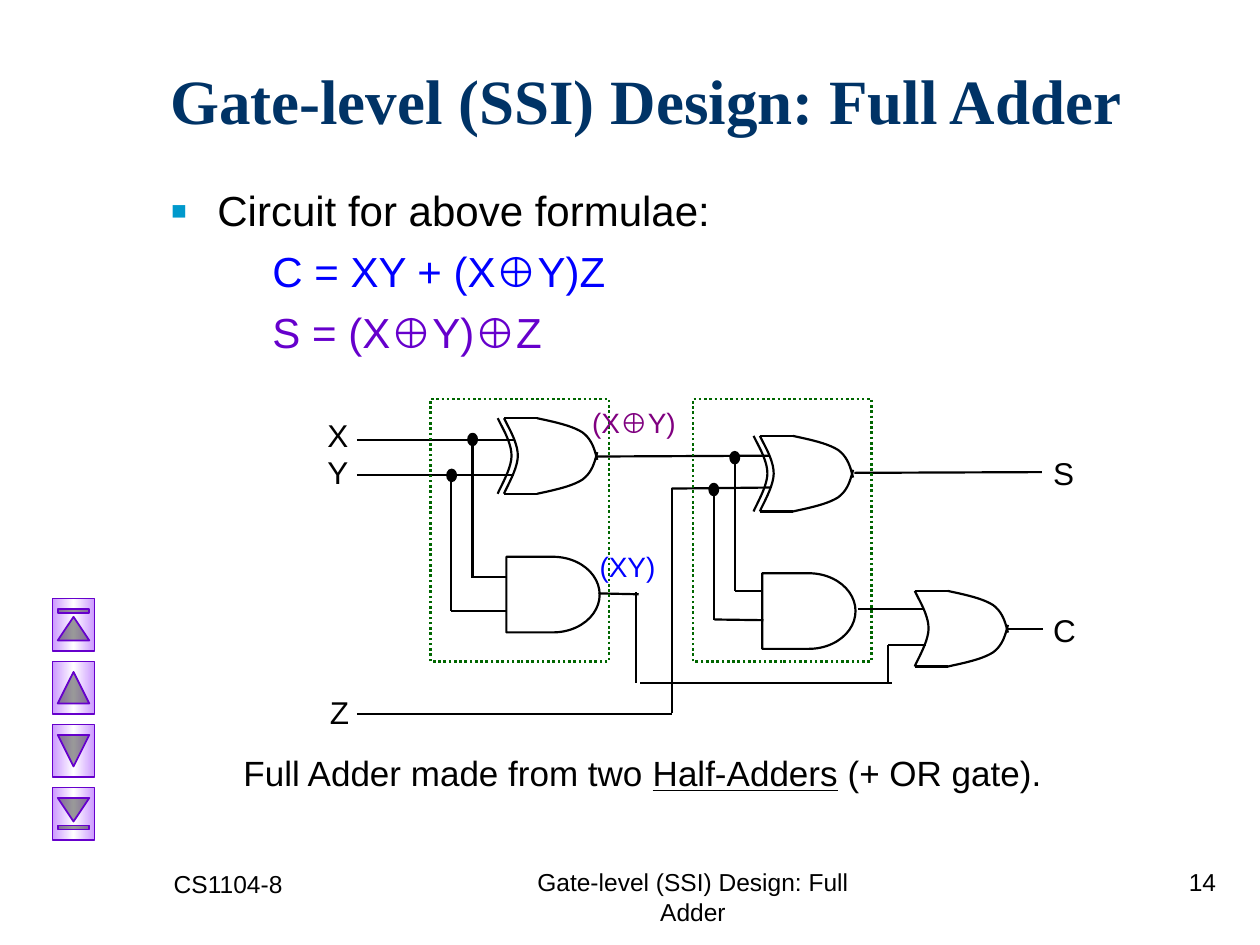
"""Build the full adder circuit slide."""
from copy import deepcopy
from lxml.etree import SubElement
from pptx import Presentation
from pptx.dml.color import RGBColor
from pptx.enum.dml import MSO_LINE
from pptx.enum.shapes import MSO_CONNECTOR, MSO_SHAPE as SHAPE
from pptx.enum.text import MSO_ANCHOR, MSO_AUTO_SIZE, PP_ALIGN as ALIGN
from pptx.oxml.ns import qn
from pptx.util import Pt

rgb = RGBColor.from_string


def style(sp, color, width, fill=None):
    if hasattr(sp, "fill"):
        if fill:
            sp.fill.solid()
            sp.fill.fore_color.rgb = rgb(fill)
        else:
            sp.fill.background()
    sp.line.color.rgb = rgb(color)
    sp.line.width = Pt(width)
    SubElement(sp._element.spPr, qn("a:effectLst"))


def add_run(p, text, size, color="000000", font="Arial"):
    r = p.add_run()
    r.text = text
    r.font.size = Pt(size)
    r.font.name = font
    r.font.color.rgb = rgb(color)
    return r


prs = Presentation()
prs.slide_width, prs.slide_height = Pt(720), Pt(540)
s = prs.slides.add_slide(prs.slide_layouts[1])
shapes = s.shapes

title, body = s.placeholders
title.left, title.top, title.width, title.height = Pt(90), Pt(12), Pt(612), Pt(90)
body.left, body.top, body.width, body.height = Pt(90), Pt(102), Pt(600), Pt(108)
for sp, anchor in [(title, MSO_ANCHOR.MIDDLE), (body, MSO_ANCHOR.TOP)]:
    tf = sp.text_frame
    tf.vertical_anchor = anchor
    tf.auto_size = MSO_AUTO_SIZE.NONE
    tf.word_wrap = True
p = title.text_frame.paragraphs[0]
p.alignment = ALIGN.LEFT
add_run(p, "Gate-level (SSI) Design: Full Adder", 36, "003366", "Times New Roman").font.bold = True

tf = body.text_frame
for i, (text, color) in enumerate([
    ("Circuit for above formulae:", "000000"),
    ("C = XY + (X⊕Y)Z", "0000FF"),
    ("S = (X⊕Y)⊕Z", "6600CC"),
]):
    p = tf.add_paragraph() if i else tf.paragraphs[0]
    p.level = min(i, 1)
    p.space_before = Pt(6)
    add_run(p, text, 24, color)
    pPr = p._p.get_or_add_pPr()
    pPr.set("marL", str(Pt(58.5 if i else 27)))
    pPr.set("indent", str(Pt(0 if i else -27)))
    if i:
        SubElement(pPr, qn("a:buNone"))
    else:
        SubElement(SubElement(pPr, qn("a:buClr")), qn("a:srgbClr"), val="0099CC")
        SubElement(pPr, qn("a:buSzPct"), val="120000")
        SubElement(pPr, qn("a:buFont"), typeface="Arial")
        SubElement(pPr, qn("a:buChar"), char="▪")

for i, kind in enumerate([
    SHAPE.ACTION_BUTTON_BEGINNING, SHAPE.ACTION_BUTTON_BACK_OR_PREVIOUS,
    SHAPE.ACTION_BUTTON_FORWARD_OR_NEXT, SHAPE.ACTION_BUTTON_END,
]):
    sp = shapes.add_shape(kind, Pt(27), Pt(345 + 36 * i), Pt(30), Pt(24))
    sp.rotation = 90
    style(sp, "6600CC", 1)
    sp.fill.gradient()
    sp.fill.gradient_angle = 270
    stops = sp._element.spPr.find(".//" + qn("a:gsLst"))
    stops.insert(1, deepcopy(stops[0]))
    for stop, pos, color in zip(sp.fill.gradient_stops, (0, 0.5, 1), ("CC99FF", "FFFFFF", "CC99FF")):
        stop.position = pos
        stop.color.rgb = rgb(color)

wires = [
    (204, 251.3, 294, 251.3), (204, 271.4, 294, 271.4), (340.6, 260.9, 440, 260.4),
    (270, 329.8, 289.4, 329.8), (270, 252, 270, 330.2), (257.8, 271.4, 257.8, 349.2),
    (257.8, 349.2, 289.4, 349.2), (342, 339.1, 365, 339.6), (383.8, 279.2, 440, 278.6),
    (488.2, 270.2, 595.4, 269.8), (419.8, 337.7, 434.9, 337.7), (419.8, 259.2, 419.8, 337.7),
    (383.8, 278.6, 383.8, 407.5), (365.8, 390.2, 509.8, 390.2), (490.3, 347.8, 527.8, 347.8),
    (204, 408, 383.8, 408), (408.2, 354, 436.3, 354.4), (363.6, 390.2, 363.6, 338.4),
    (507.6, 368.6, 529.2, 368.6), (507.6, 390.2, 507.6, 368.6), (574.6, 359.3, 596.2, 359.3),
    (408.2, 275.8, 408.2, 354.2),
]
back = [(0, 0), (3.6, 7.2), (7.9, 14.4), (7.9, 21.6), (7.9, 28.8), (1.4, 39.6), (0, 43.2)]
front = [(18.9, 0), (29, 2.2), (39, 4.3), (44.8, 8.1), (50.4, 12.2), (51.8, 18), (53.3, 23.8)]
gate_h = 43.2
mirrored = [(x, gate_h - y) for x, y in front]
curves = []
for left, top, is_xor in [(288, 239, True), (434.2, 249.1, True), (522.7, 337.7, False)]:
    wires += [(left, y, left + 18.9, y) for y in (top, top + gate_h)]
    outlines = [(back, 0), (front, 0), (mirrored, 0)] + [(back, -3.6)] * is_xor
    curves += [[(left + dx + x, top + y) for x, y in pts] for pts, dx in outlines]

for x1, y1, x2, y2 in wires:
    sp = shapes.add_connector(MSO_CONNECTOR.STRAIGHT, Pt(x1), Pt(y1), Pt(x2), Pt(y2))
    style(sp, "000000", 1.25)

steps = 10
for curve in curves:
    pts = [curve[0]]
    for k in (0, 3):
        for n in range(1, steps + 1):
            t = n / steps
            weights = ((1 - t) ** 3, 3 * t * (1 - t) ** 2, 3 * t * t * (1 - t), t ** 3)
            pts.append([sum(w * c[axis] for w, c in zip(weights, curve[k:k + 4])) for axis in (0, 1)])
    pts = [(Pt(x), Pt(y)) for x, y in pts]
    fb = shapes.build_freeform(*pts[0])
    fb.add_line_segments(pts[1:], close=False)
    style(fb.convert_to_shape(), "000000", 1.25)

for x, y in [(289.4, 318.2), (435.6, 327.6)]:
    style(shapes.add_shape(SHAPE.FLOWCHART_DELAY, Pt(x), Pt(y), Pt(53.3), Pt(43.2)), "000000", 1.25)
for x, y in [(255.6, 268.4), (267.6, 247.9), (405.4, 276.5), (417.4, 258.3)]:
    style(shapes.add_shape(SHAPE.OVAL, Pt(x), Pt(y), Pt(5), Pt(6.5)), "000000", 1.25, "000000")
for x in (246, 396):
    sp = shapes.add_shape(SHAPE.RECTANGLE, Pt(x), Pt(228), Pt(102), Pt(150))
    style(sp, "006600", 1.5)
    sp.line.dash_style = MSO_LINE.ROUND_DOT

caption = ["Full Adder made from two ", "Half-Adders", " (+ OR gate)."]
for x, y, w, h, paras, size, color, align in [
    (132, 426, 480, 42, [caption], 20, "000000", ALIGN.LEFT),
    (331.2, 228, 65, 27.4, [["(X⊕Y)"]], 16, "800080", ALIGN.LEFT),
    (335.5, 310.3, 49.7, 27.4, [["(XY)"]], 16, "0000FF", ALIGN.LEFT),
    (180, 234, 30, 43.2, [["X"], ["Y"]], 18, "000000", ALIGN.LEFT),
    (181.4, 392.4, 30, 27.4, [["Z"]], 18, "000000", ALIGN.LEFT),
    (594.7, 255.6, 30, 27.4, [["S"]], 18, "000000", ALIGN.LEFT),
    (594.7, 345.6, 30, 27.4, [["C"]], 18, "000000", ALIGN.LEFT),
    (282, 492, 228, 36, [["Gate-level (SSI) Design: Full Adder"]], 14, "000000", ALIGN.CENTER),
    (552, 492, 150, 36, [["14"]], 14, "000000", ALIGN.RIGHT),
    (92.2, 493.2, 150, 36, [["CS1104-8"]], 14, "000000", ALIGN.LEFT),
]:
    tf = shapes.add_textbox(Pt(x), Pt(y), Pt(w), Pt(h)).text_frame
    tf.word_wrap = True
    for i, runs in enumerate(paras):
        p = tf.add_paragraph() if i else tf.paragraphs[0]
        p.alignment = align
        for text in runs:
            r = add_run(p, text, size, color)
            if text == "Half-Adders":
                r.font.underline = True

prs.save("out.pptx")
